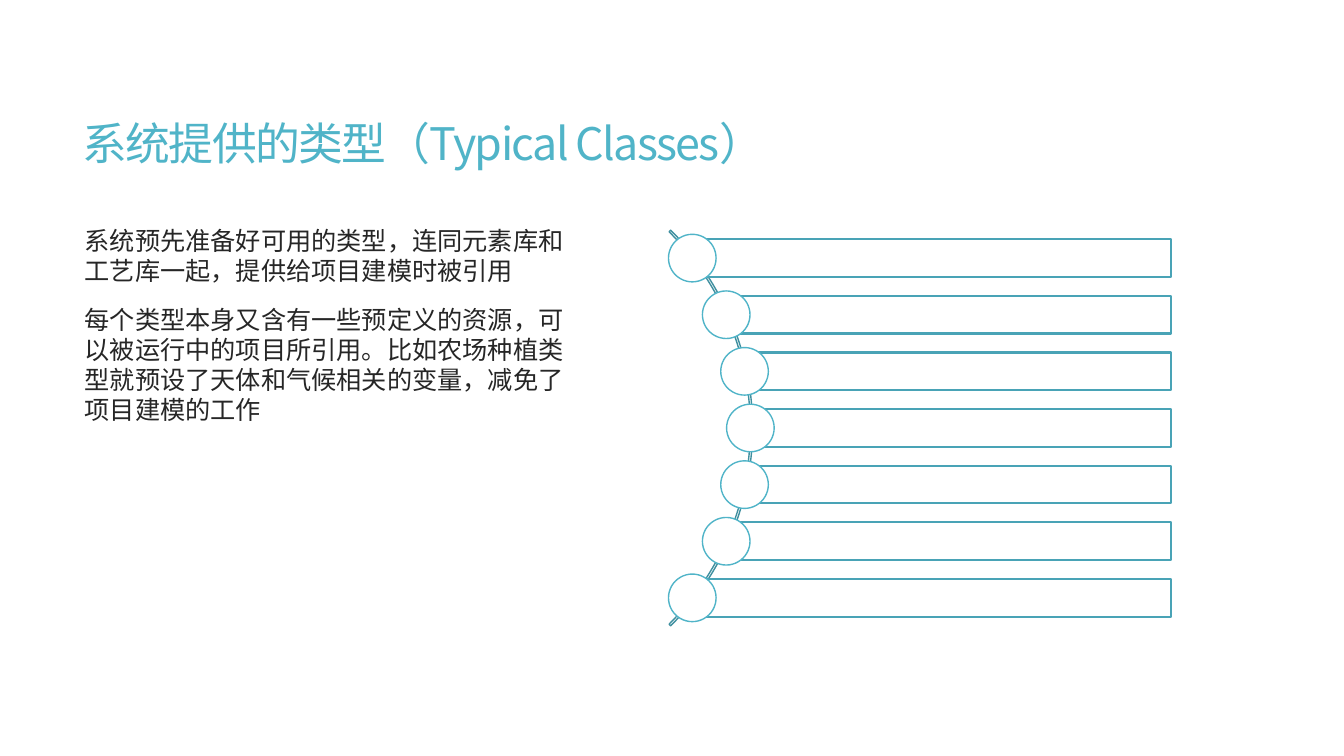
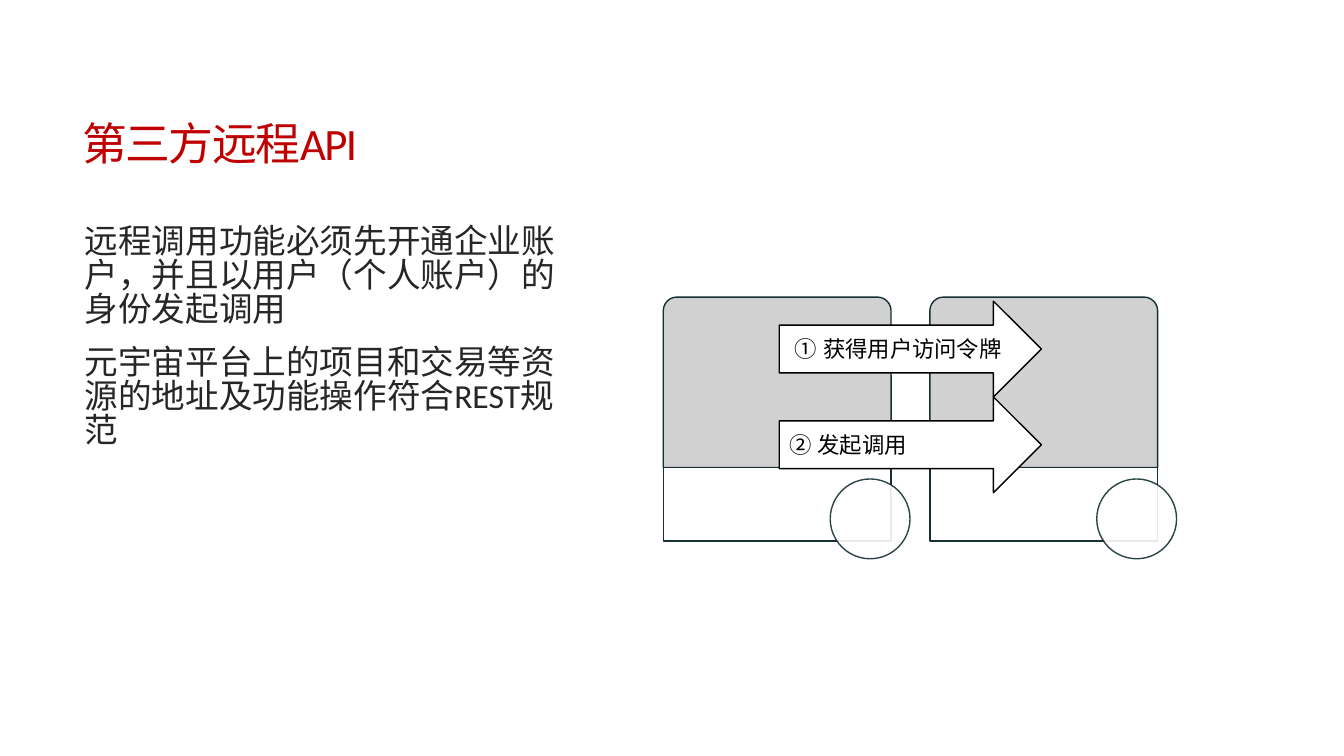
from dataclasses import dataclass
from math import sqrt
from typing import Any

from lxml.etree import SubElement as Sub
from pptx import Presentation
from pptx.dml.color import RGBColor as RGB
from pptx.enum.shapes import MSO_SHAPE as Kind
from pptx.enum.text import MSO_ANCHOR as Anchor, MSO_AUTO_SIZE as Fit, PP_ALIGN as Align
from pptx.oxml.ns import qn
from pptx.util import Pt


@dataclass(frozen=True)
class Theme:
    white: str = "FFFFFF"
    black: str = "000000"
    ink: str = "262626"
    teal: str = "50B4C8"
    edge: str = "49A3B6"
    arc: str = "4090A0"
    red: str = "C00000"
    grey: str = "CCCDCE"
    dark: str = "162F33"
    sans: str = "Noto Sans CJK SC"
    latin: str = "Calibri"
    plain: str = "Arial"
    head: float = 32
    lead: float = 24
    text: float = 18
    note: float = 16


@dataclass(frozen=True)
class Box:
    x: float
    y: float
    w: float
    h: float


@dataclass(frozen=True)
class Type:
    font: str
    size: float
    tint: str
    gap: int = 0


@dataclass(frozen=True)
class Page:
    title: str
    head: Type
    items: tuple[str, ...]
    body: Type
    lead: Any


@dataclass(frozen=True)
class Step:
    text: str
    align: Any


T = Theme()
TITLE = Box(51.8, 39.6, 848.2, 130.3)
BODY = Box(53.3, 157.7, 367.2, 296.6)

PAGES = (
    Page(
        "系统提供的类型（Typical Classes）",
        Type(T.sans, T.head, T.teal, -120),
        (
            "系统预先准备好可用的类型，连同元素库和工艺库一起，提供给项目建模时被引用",
            "每个类型本身又含有一些预定义的资源，可以被运行中的项目所引用。"
            "比如农场种植类型就预设了天体和气候相关的变量，减免了项目建模的工作",
        ),
        Type(T.sans, T.text, T.ink),
        Pt(21.5),
    ),
    Page(
        "第三方远程API",
        Type(T.latin, T.head, T.red, -120),
        (
            "远程调用功能必须先开通企业账户，并且以用户（个人账户）的身份发起调用",
            "元宇宙平台上的项目和交易等资源的地址及功能操作符合REST规范",
        ),
        Type(T.latin, T.lead, T.ink),
        0.85,
    ),
)

STEPS = (Step("① 获得用户访问令牌", Align.CENTER), Step("② 发起调用", Align.LEFT))


def put(item: Any, vals: dict[str, Any]) -> None:
    for key, val in vals.items():
        setattr(item, key, val)


def place(item: Any, box: Box) -> None:
    put(item, {"left": Pt(box.x), "top": Pt(box.y),
               "width": Pt(box.w), "height": Pt(box.h)})


def paint(fill: Any, tint: str, alpha: int = 100) -> None:
    """Fill with a colour at the given percentage of opacity."""
    fill.solid()
    fill.fore_color.rgb = RGB.from_string(tint)
    if alpha < 100:
        node = fill._xPr.find(qn("a:solidFill"))[0]
        Sub(node, qn("a:alpha"), val=str(alpha * 1000))


def write(para: Any, text: str, kind: Type, vals: dict[str, Any]) -> None:
    put(para, vals)
    run = para.add_run()
    run.text = text
    put(run.font, {"name": kind.font, "size": Pt(kind.size)})
    run.font.color.rgb = RGB.from_string(kind.tint)
    props = run.font._element
    props.set("lang", "zh-CN")
    if kind.gap:
        props.set("spc", str(kind.gap))
    Sub(props, qn("a:ea"), typeface=kind.font)


def draw(slide: Any, kind: Any, box: Box, tint: str | None, edge: str,
         width: float = 1, alpha: int = 100) -> Any:
    item = slide.shapes.add_shape(kind, Pt(box.x), Pt(box.y), Pt(box.w), Pt(box.h))
    item.shadow.inherit = False
    if tint:
        paint(item.fill, tint, alpha)
    else:
        item.fill.background()
    paint(item.line.fill, edge)
    item.line.width = Pt(width)
    return item


def label(item: Any, text: str, kind: Type, frame: dict[str, Any],
          para: dict[str, Any]) -> None:
    put(item.text_frame, {"vertical_anchor": Anchor.MIDDLE, "word_wrap": True, **frame})
    write(item.text_frame.paragraphs[0], text, kind, para)


def start(deck: Any, page: Page) -> Any:
    """Add a slide with its title and body text."""
    slide = deck.slides.add_slide(deck.slide_layouts[1])
    title, body = slide.placeholders
    place(title, TITLE)
    label(title, page.title, page.head, {"auto_size": Fit.NONE},
          {"alignment": Align.LEFT, "line_spacing": 0.85})
    place(body, BODY)
    frame = body.text_frame
    put(frame, {"auto_size": Fit.NONE, "word_wrap": True})
    for i, text in enumerate(page.items):
        para = frame.add_paragraph() if i else frame.paragraphs[0]
        write(para, text, page.body,
              {"line_spacing": page.lead, "space_before": Pt(13)})
        props = para._p.get_or_add_pPr()
        for key in ("marL", "indent"):
            props.set(key, "0")
        Sub(props, qn("a:buNone"))
    return slide


def fan(slide: Any) -> None:
    """Draw the bars whose discs follow an arc."""
    mid_x, mid_y, rad, step = 337.8, 305.7, 198.2, 40.45
    right, tall, disc, ring, count = 836.3, 26.9, 34, 399.6, 7
    arc = draw(slide, Kind.BLOCK_ARC,
               Box(mid_x - ring / 2, mid_y - ring / 2, ring, ring), None, T.arc)
    for i, val in enumerate((189, 27, 0.004)):
        arc.adjustments[i] = val
    for i in range(count):
        drop = (i - (count - 1) / 2) * step
        x, y = mid_x + sqrt(rad**2 - drop**2), mid_y + drop
        draw(slide, Kind.RECTANGLE, Box(x, y - tall / 2, right - x, tall),
             T.white, T.edge, 1.5)
        draw(slide, Kind.OVAL, Box(x - disc / 2, y - disc / 2, disc, disc),
             T.white, T.teal)


def flow(slide: Any) -> None:
    """Draw the two platform cards and the call arrows across them."""
    left, top, wide, tall, foot, pitch = 473.8, 212.2, 162.7, 121.7, 52.6, 190.4
    disc, count = 57, 2
    for i in range(count):
        x, y = left + i * pitch, top + tall
        card = draw(slide, Kind.ROUND_2_SAME_RECTANGLE, Box(x, top, wide, tall),
                    T.grey, T.dark, alpha=90)
        card.adjustments[0] = 0.08
        draw(slide, Kind.RECTANGLE, Box(x, y, wide, foot), T.white, T.dark)
        spot = draw(slide, Kind.OVAL, Box(x + 119.2, y + 8.2, disc, disc),
                    T.white, T.dark, alpha=90)
        paint(spot.line.fill, T.dark, 90)
    note, high = Type(T.plain, T.note, T.black), 68.4
    for i, step in enumerate(STEPS):
        arrow = draw(slide, Kind.RIGHT_ARROW, Box(556.6, 215.1 + i * high, 187.2, high),
                     T.white, T.black)
        label(arrow, step.text, note, {}, {"alignment": step.align})


def main() -> None:
    deck = Presentation()
    put(deck, {"slide_width": Pt(960), "slide_height": Pt(540)})
    for page, art in zip(PAGES, (fan, flow)):
        art(start(deck, page))
    deck.save("out.pptx")


if __name__ == "__main__":
    main()
